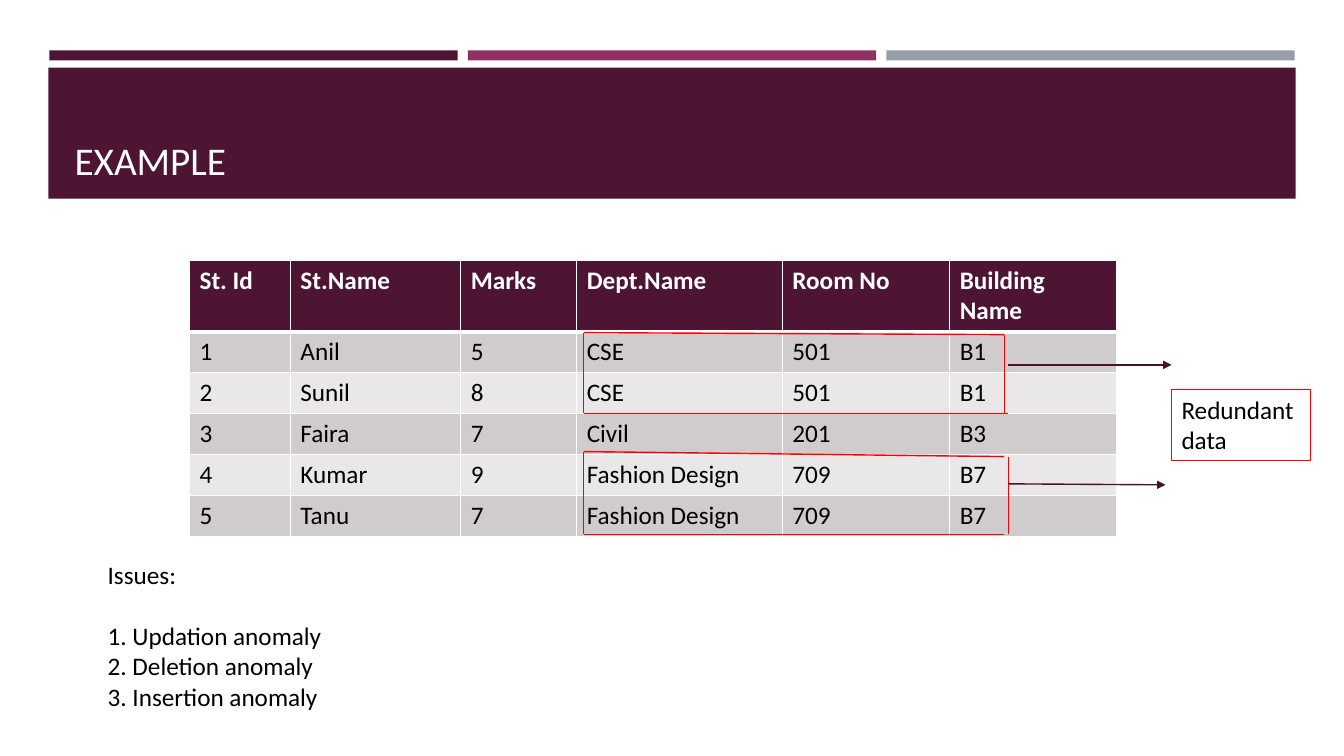
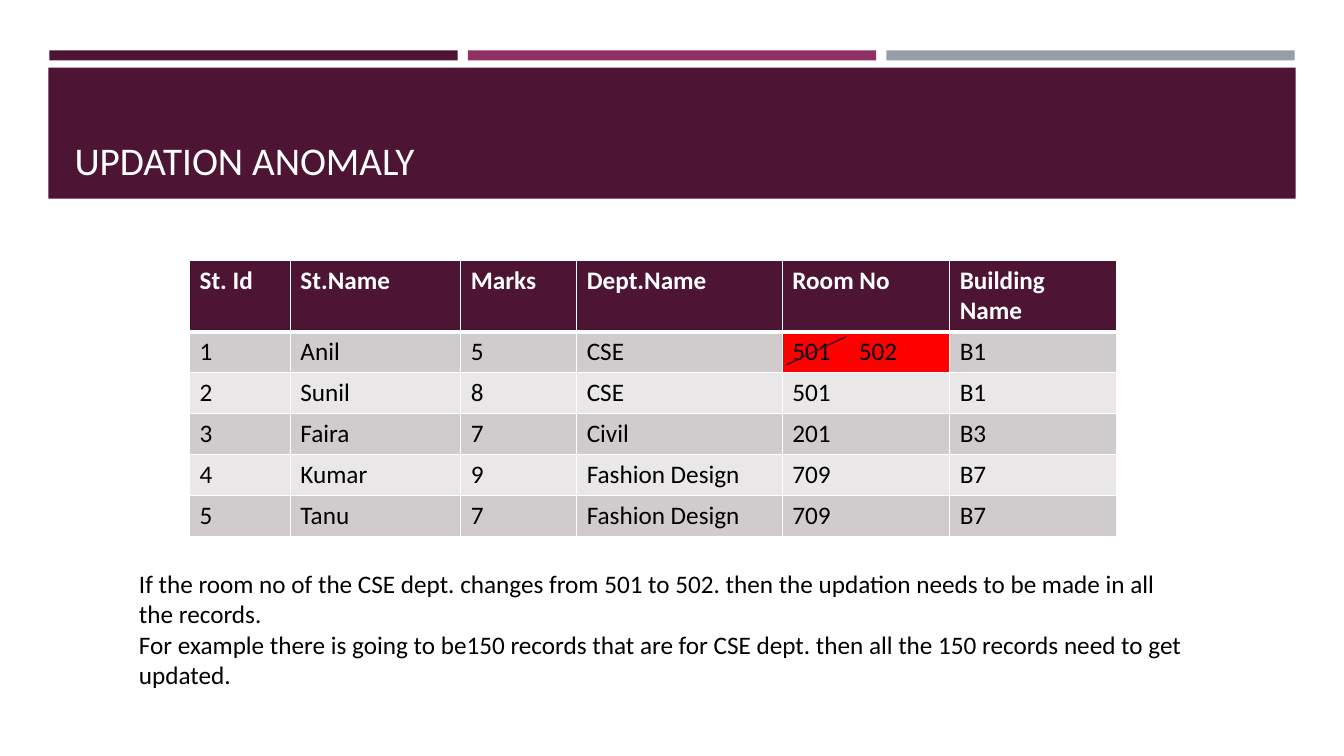
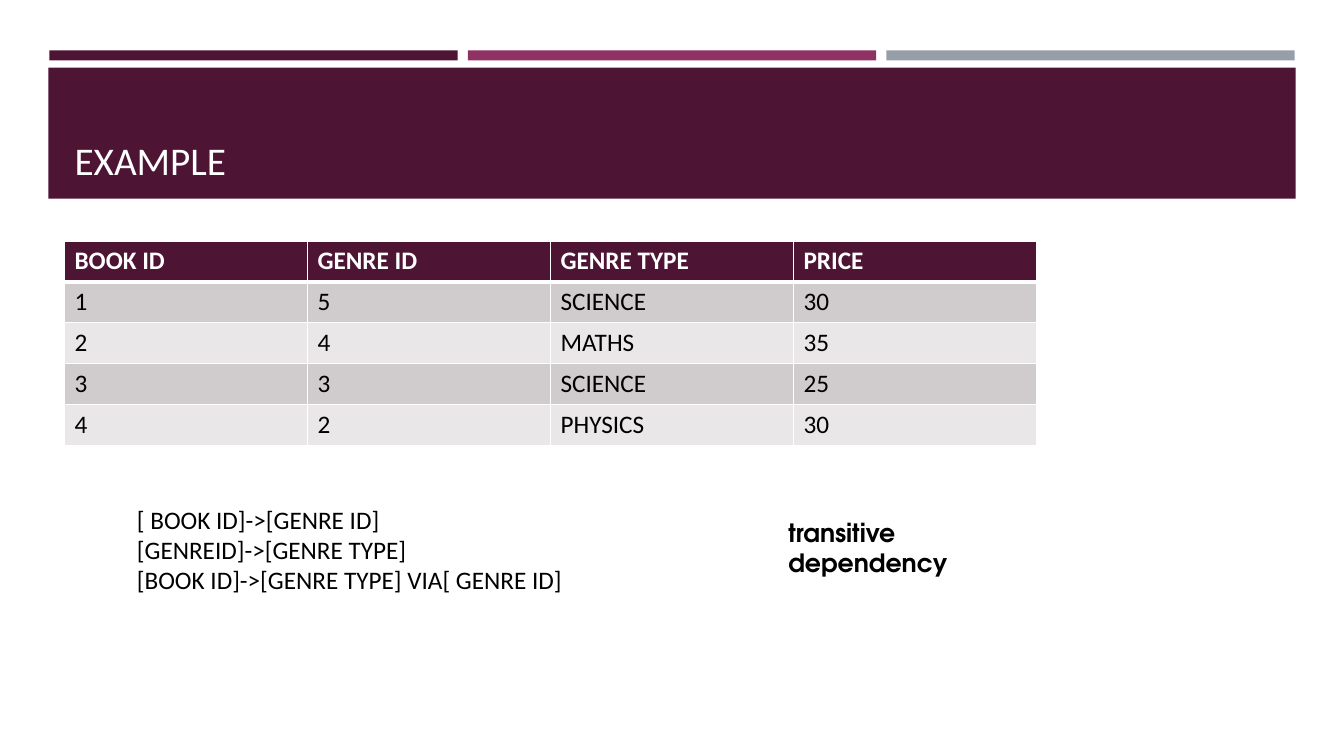
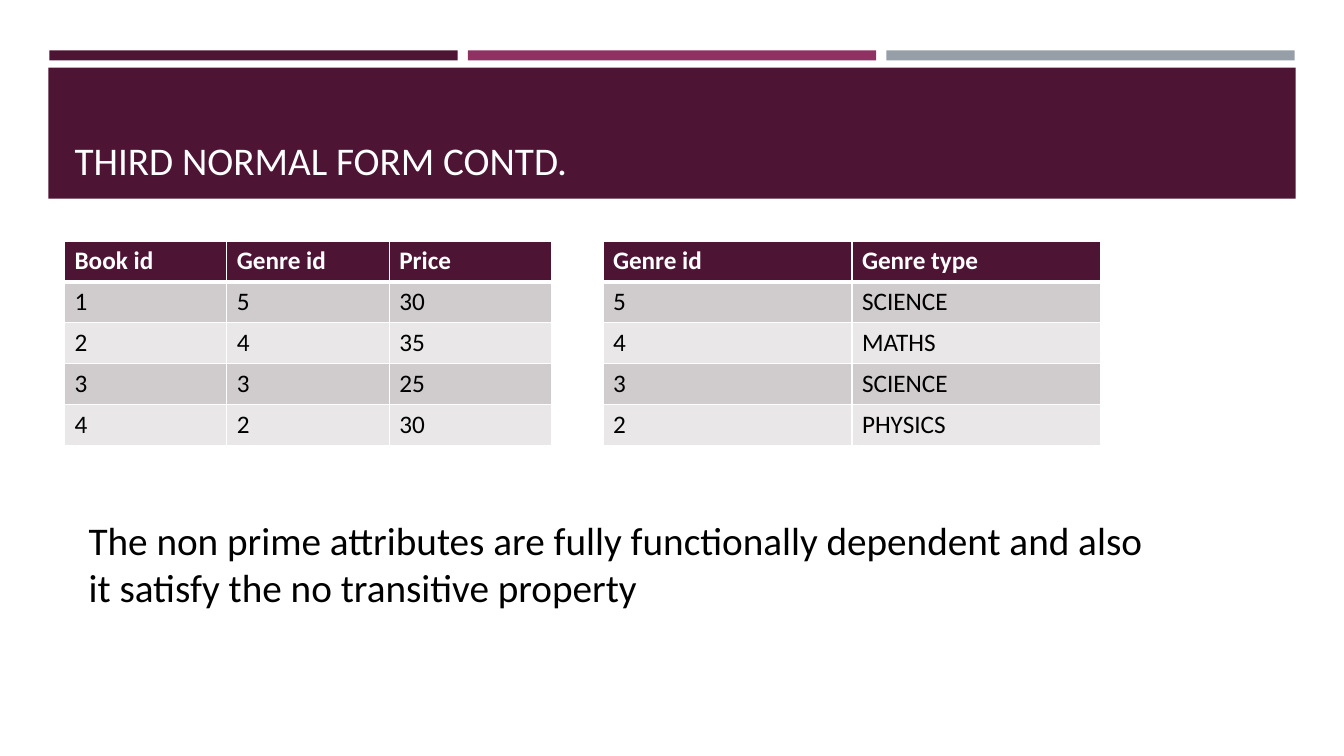
from collections import namedtuple

from lxml import etree
from pptx import Presentation
from pptx.dml.color import RGBColor
from pptx.enum.shapes import MSO_CONNECTOR as Connector, MSO_SHAPE as Preset
from pptx.enum.text import MSO_ANCHOR as Anchor, MSO_AUTO_SIZE as AutoSize, PP_ALIGN as Align
from pptx.oxml.ns import qn
from pptx.shapes.shapetree import SlideShapes
from pptx.util import Inches, Pt

COLORS = {
    "plum": "4D1434",
    "magenta": "903163",
    "slate": "969FA7",
    "arrow": "45122F",
    "red": "FF0000",
    "dark_row": "D0CCCE",
    "light_row": "E9E7E8",
    "white": "FFFFFF",
    "black": "000000",
}
BODY_FONT = "Calibri"
ACCENT_FONT = "TeX Gyre Adventor"

Box = namedtuple("Box", "left top width height")
TITLE_BOX = Box(0.64, 0.77, 12.06, 1.11)
BAND_BOX = Box(0.48, 0.67, 12.37, 1.3)
STRIPES_BOX = Box(0.49, 0.5, 12.35, 0.1)
STUDENT_BOX = Box(1.88, 2.58, 9.2, 2.73)

STUDENT_COLUMNS = [1, 1.69, 1.15, 2.04, 1.66, 1.66]
STUDENTS = [
    ["St. Id", "St.Name", "Marks", "Dept.Name", "Room No", "Building Name"],
    ["1", "Anil", "5", "CSE", "501", "B1"],
    ["2", "Sunil", "8", "CSE", "501", "B1"],
    ["3", "Faira", "7", "Civil", "201", "B3"],
    ["4", "Kumar", "9", "Fashion Design", "709", "B7"],
    ["5", "Tanu", "7", "Fashion Design", "709", "B7"],
]
BOOKS = [
    ["1", "5", "SCIENCE", "30"],
    ["2", "4", "MATHS", "35"],
    ["3", "3", "SCIENCE", "25"],
    ["4", "2", "PHYSICS", "30"],
]


def rgb(name):
    return RGBColor.from_string(COLORS[name])


def inches(box):
    return [Inches(value) for value in box]


def format_runs(paragraph, size=18, color="black", bold=False, font=BODY_FONT):
    for run in paragraph.runs:
        run.font.name = font
        run.font.size = Pt(size)
        run.font.bold = bold
        run.font.color.rgb = rgb(color)


def add_rectangle(shapes, box, fill):
    shape = shapes.add_shape(Preset.RECTANGLE, *inches(box))
    shape.shadow.inherit = False
    shape.fill.solid()
    shape.fill.fore_color.rgb = rgb(fill)
    shape.line.fill.background()


def decorate_layout(layout):
    shapes = SlideShapes(layout.shapes.element, layout)
    gap = 0.1
    width = (STRIPES_BOX.width - 2 * gap) / 3
    for index, color in enumerate(["plum", "magenta", "slate"]):
        left = STRIPES_BOX.left + index * (width + gap)
        add_rectangle(shapes, STRIPES_BOX._replace(left=left, width=width), color)
    add_rectangle(shapes, BAND_BOX, "plum")


def add_titled_slide(presentation, layout, text):
    slide = presentation.slides.add_slide(layout)
    title = slide.shapes.title
    title.left, title.top, title.width, title.height = inches(TITLE_BOX)
    frame = title.text_frame
    frame.text = text
    frame.word_wrap = True
    frame.auto_size = AutoSize.NONE
    frame.vertical_anchor = Anchor.BOTTOM
    paragraph = frame.paragraphs[0]
    paragraph.alignment = Align.LEFT
    paragraph.line_spacing = 0.9
    format_runs(paragraph, 28, "white")
    return slide


def add_text(slide, box, lines, **style):
    frame = slide.shapes.add_textbox(*inches(box)).text_frame
    frame.word_wrap = True
    frame.text = "\n".join(lines)
    for paragraph in frame.paragraphs:
        format_runs(paragraph, **style)
    return frame


def set_borders(cell, top=1, bottom=1):
    properties = cell._tc.get_or_add_tcPr()
    for side, width in [("L", 1), ("R", 1), ("T", top), ("B", bottom)]:
        line = etree.SubElement(properties, qn(f"a:ln{side}"), w=str(Pt(width)))
        fill = etree.SubElement(line, qn("a:solidFill"))
        etree.SubElement(fill, qn("a:srgbClr"), val=COLORS["white"])


def add_data_table(slide, box, rows, columns, header_height):
    table = slide.shapes.add_table(len(rows), len(columns), *inches(box)).table
    for column, width in zip(table.columns, columns):
        column.width = Inches(width)
    body_height = (box.height - header_height) / (len(rows) - 1)
    for index, values in enumerate(rows):
        header = index == 0
        table.rows[index].height = Inches(header_height if header else body_height)
        fill = "plum" if header else "dark_row" if index % 2 else "light_row"
        for cell, value in zip(table.rows[index].cells, values):
            set_borders(cell, top=3 if index == 1 else 1, bottom=3 if header else 1)
            cell.fill.solid()
            cell.fill.fore_color.rgb = rgb(fill)
            cell.text = value
            format_runs(cell.text_frame.paragraphs[0],
                        color="white" if header else "black", bold=header)
    return table


def add_student_table(slide):
    return add_data_table(slide, STUDENT_BOX, STUDENTS, STUDENT_COLUMNS, 0.7)


def add_book_table(slide, left, rows, column_width):
    columns = [column_width] * len(rows[0])
    box = Box(left, 2.39, sum(columns), 2.03)
    add_data_table(slide, box, rows, columns, box.height / len(rows))


def add_line(slide, start, end, color, arrow=False):
    line = slide.shapes.add_connector(Connector.STRAIGHT, *inches(start + end))
    line.line.color.rgb = rgb(color)
    line.line.width = Pt(1)
    if arrow:
        etree.SubElement(line.line._get_or_add_ln(), qn("a:tailEnd"), type="triangle")
    etree.SubElement(line.element.spPr, qn("a:effectLst"))


def add_row_marker(slide, box, right_drop, right_edge, bottom_end):
    right, bottom = box.left + box.width, box.top + box.height
    top_left, bottom_left = (box.left, box.top), (box.left, bottom)
    slanted_top = box.top + right_drop
    add_line(slide, top_left, bottom_left, "red")
    add_line(slide, top_left, (right, slanted_top), "red")
    add_line(slide, bottom_left, (bottom_end, bottom), "red")
    add_line(slide, (right_edge, slanted_top), (right_edge, bottom), "red")


def add_callout(slide, box, text):
    shape = slide.shapes.add_shape(Preset.RECTANGLE, *inches(box))
    shape.shadow.inherit = False
    shape.fill.background()
    shape.line.color.rgb = rgb("red")
    shape.line.width = Pt(0.75)
    frame = shape.text_frame
    frame.word_wrap = True
    frame.vertical_anchor = Anchor.TOP
    frame.text = text
    frame.paragraphs[0].alignment = Align.LEFT
    format_runs(frame.paragraphs[0])


def build_redundancy_slide(presentation, layout):
    slide = add_titled_slide(presentation, layout, "EXAMPLE")
    add_student_table(slide)
    issues = add_text(slide, Box(0.97, 5.5, 9.84, 1.62), [
        "Issues:",
        "1. Updation anomaly",
        "2. Deletion anomaly",
        "3. Insertion anomaly",
    ])
    issues.paragraphs[1].space_before = Pt(22)
    add_row_marker(slide, Box(5.79, 3.3, 4.17, 0.8), 0.02, 9.96, 10)
    add_row_marker(slide, Box(5.79, 4.48, 4.17, 0.82), 0.05, 10, 9.96)
    add_line(slide, (10, 3.62), (11.62, 3.62), "arrow", arrow=True)
    add_line(slide, (10, 4.8), (11.56, 4.81), "arrow", arrow=True)
    add_callout(slide, Box(11.62, 3.86, 1.38, 0.71), "Redundant data")


def build_updation_slide(presentation, layout):
    slide = add_titled_slide(presentation, layout, "UPDATION ANOMALY")
    changed_cell = add_student_table(slide).cell(1, 4)
    changed_cell.fill.fore_color.rgb = rgb("red")
    changed_cell.text = "501\t502"
    paragraph = changed_cell.text_frame.paragraphs[0]
    tabs = etree.SubElement(paragraph._p.get_or_add_pPr(), qn("a:tabLst"))
    etree.SubElement(tabs, qn("a:tab"), pos=str(Inches(0.66)), algn="l")
    format_runs(paragraph)
    add_line(slide, (8.39, 3.34), (7.8, 3.62), "arrow")
    add_text(slide, Box(1.28, 5.59, 10.58, 1.31), [
        "If the room no of the CSE dept. changes from 501 to 502. then the updation "
        "needs to be made in all the records.",
        "For example there is going to be150 records that are for CSE dept. then all "
        "the 150 records need to get updated.",
    ])


def build_dependency_slide(presentation, layout):
    slide = add_titled_slide(presentation, layout, "EXAMPLE")
    header = ["BOOK ID", "GENRE ID", "GENRE TYPE", "PRICE"]
    add_book_table(slide, 0.64, [header] + BOOKS, 2.41)
    add_text(slide, Box(1.26, 4.95, 5.26, 1.31), [
        "[ BOOK ID]->[GENRE ID]",
        "[GENREID]->[GENRE TYPE]",
        "[BOOK ID]->[GENRE TYPE] VIA[ GENRE ID]",
    ])
    add_text(slide, Box(7.72, 5.08, 2, 0.71), ["transitive dependency"],
             bold=True, font=ACCENT_FONT)


def build_third_form_slide(presentation, layout):
    slide = add_titled_slide(presentation, layout, "THIRD NORMAL FORM CONTD.")
    prices = [[book, genre, price] for book, genre, kind, price in BOOKS]
    genres = [[genre, kind] for book, genre, kind, price in BOOKS]
    add_book_table(slide, 0.64, [["Book id", "Genre id", "Price"]] + prices, 1.61)
    add_book_table(slide, 5.98, [["Genre id", "Genre type"]] + genres, 2.47)
    add_text(slide, Box(0.78, 5.07, 10.79, 1.04), [
        "The non prime attributes are fully functionally dependent and also it satisfy "
        "the no transitive property",
    ], size=28)


def main():
    presentation = Presentation()
    presentation.slide_width = Inches(13.33)
    presentation.slide_height = Inches(7.5)
    layout = presentation.slide_layouts[5]
    decorate_layout(layout)
    for build in [build_redundancy_slide, build_updation_slide,
                  build_dependency_slide, build_third_form_slide]:
        build(presentation, layout)
    presentation.save("out.pptx")


if __name__ == "__main__":
    main()
